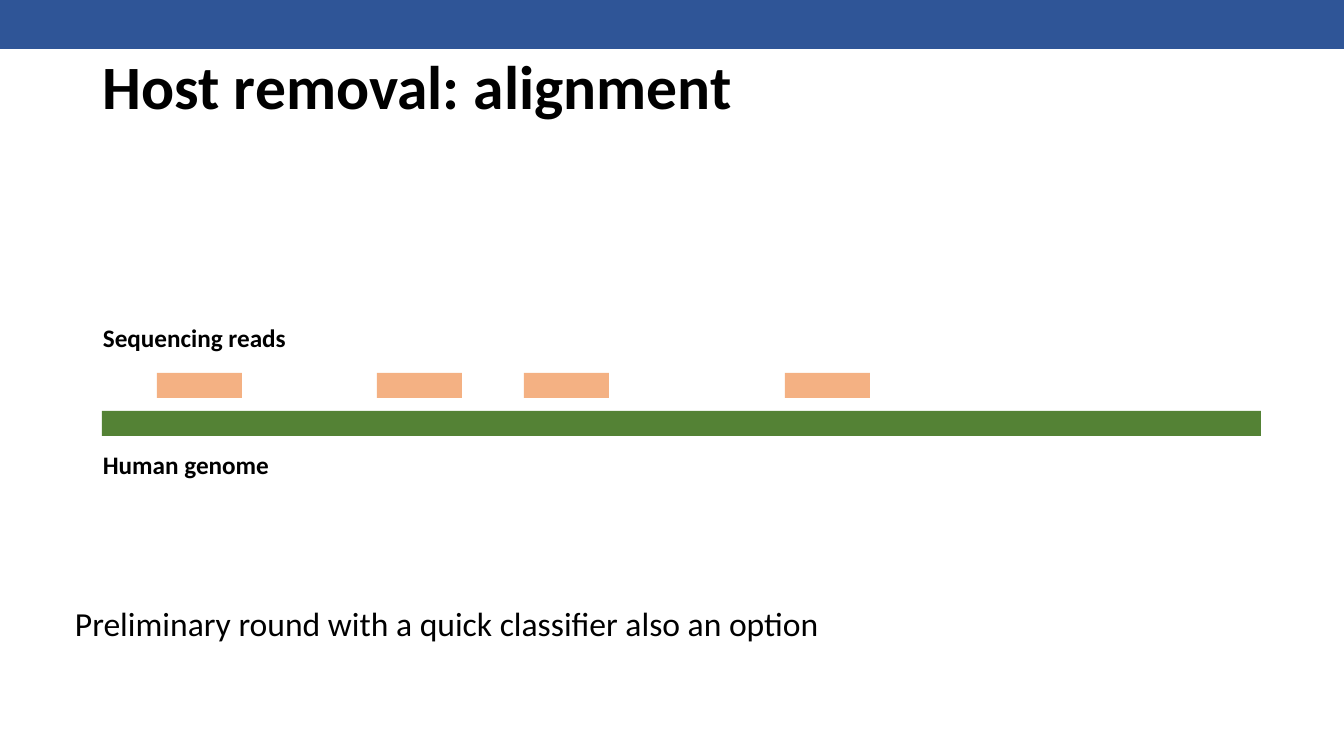
"""Build the host removal slide: sequencing reads aligned to the human genome."""
from dataclasses import dataclass

from pptx import Presentation
from pptx.dml.color import RGBColor
from pptx.enum.shapes import MSO_SHAPE
from pptx.enum.text import MSO_ANCHOR
from pptx.util import Emu, Pt

RECT = MSO_SHAPE.RECTANGLE
TOP, MIDDLE = MSO_ANCHOR.TOP, MSO_ANCHOR.MIDDLE
EMU_PER_PX = 914400 / 100.8


@dataclass(frozen=True)
class Theme:
    font: str = "Calibri"
    text: str = "000000"
    banner: str = "2F5597"
    genome: str = "548235"
    read: str = "F4B183"
    title_size: int = 44
    note_size: int = 24
    label_size: int = 18


THEME = Theme()
SLIDE_W, SLIDE_H = 1344, 756
BANNER_H = 49
GENOME_X, GENOME_Y, GENOME_W = 102, 411, 1159
READ_XS = [157, 377, 524, 785]
READ_Y, READ_W = 373, 85
STRIP_H = 25

TITLE = ("Host removal: alignment", (93, 49, 1159, 81))
LABELS = [
    ("Human genome", (93, 444, 284, 40)),
    ("Sequencing reads", (93, 317, 284, 40)),
]
NOTE = ("Preliminary round with a quick classifier also an option", (65, 598, 1107, 50))


def px(n):
    return Emu(round(n * EMU_PER_PX))


def add_bar(s, box, color):
    sp = s.shapes.add_shape(RECT, *map(px, box))
    sp.shadow.inherit = False
    sp.fill.solid()
    sp.fill.fore_color.rgb = RGBColor.from_string(color)
    sp.line.fill.background()


def add_text(s, text, box, size, bold=True, anchor=TOP, spacing=1.0):
    tf = s.shapes.add_textbox(*map(px, box)).text_frame
    tf.word_wrap = True
    tf.vertical_anchor = anchor
    p = tf.paragraphs[0]
    p.text = text
    p.line_spacing = spacing
    p.font.name = THEME.font
    p.font.size = Pt(size)
    p.font.bold = bold
    p.font.color.rgb = RGBColor.from_string(THEME.text)


def main():
    prs = Presentation()
    prs.slide_width, prs.slide_height = px(SLIDE_W), px(SLIDE_H)
    s = prs.slides.add_slide(prs.slide_layouts[6])

    add_bar(s, (0, 0, SLIDE_W, BANNER_H), THEME.banner)
    add_text(s, *TITLE, THEME.title_size, anchor=MIDDLE, spacing=0.9)
    add_bar(s, (GENOME_X, GENOME_Y, GENOME_W, STRIP_H), THEME.genome)
    for x in READ_XS:
        add_bar(s, (x, READ_Y, READ_W, STRIP_H), THEME.read)
    for text, box in LABELS:
        add_text(s, text, box, THEME.label_size)
    add_text(s, *NOTE, THEME.note_size, bold=False)

    prs.save("out.pptx")


if __name__ == "__main__":
    main()
